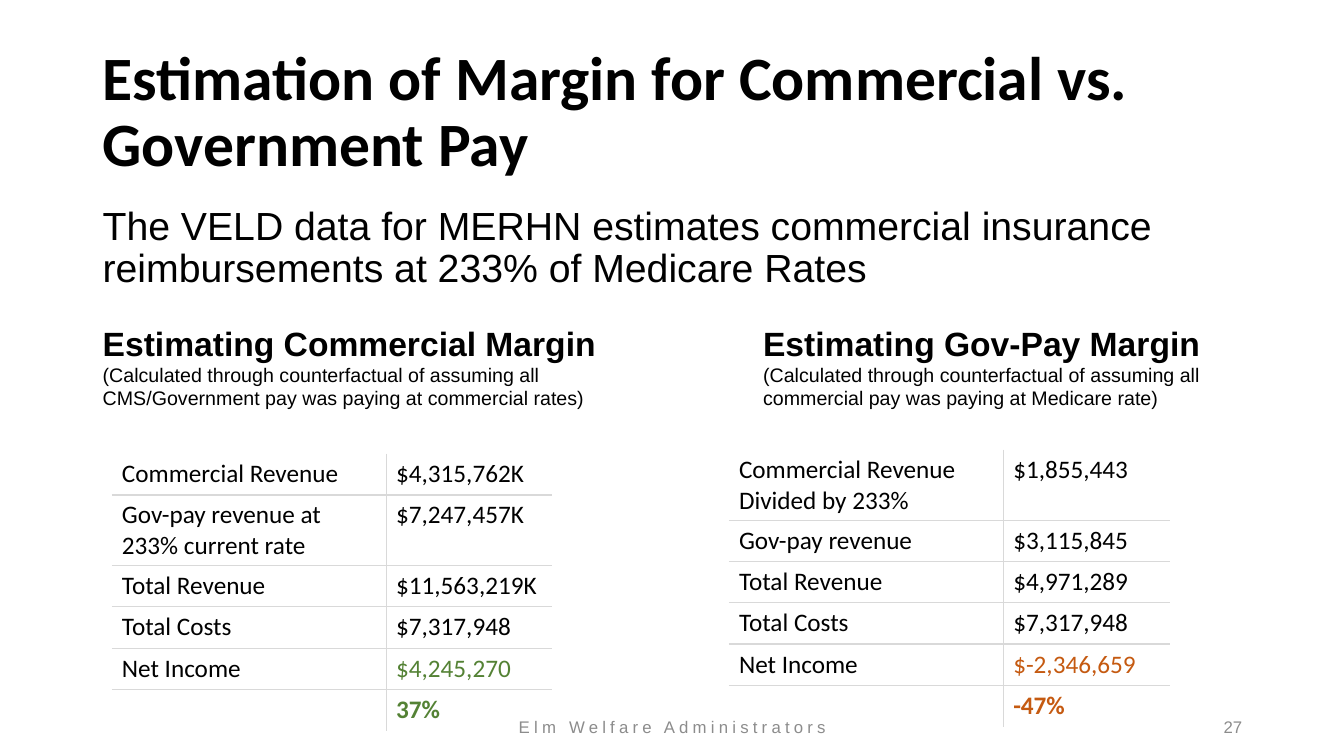
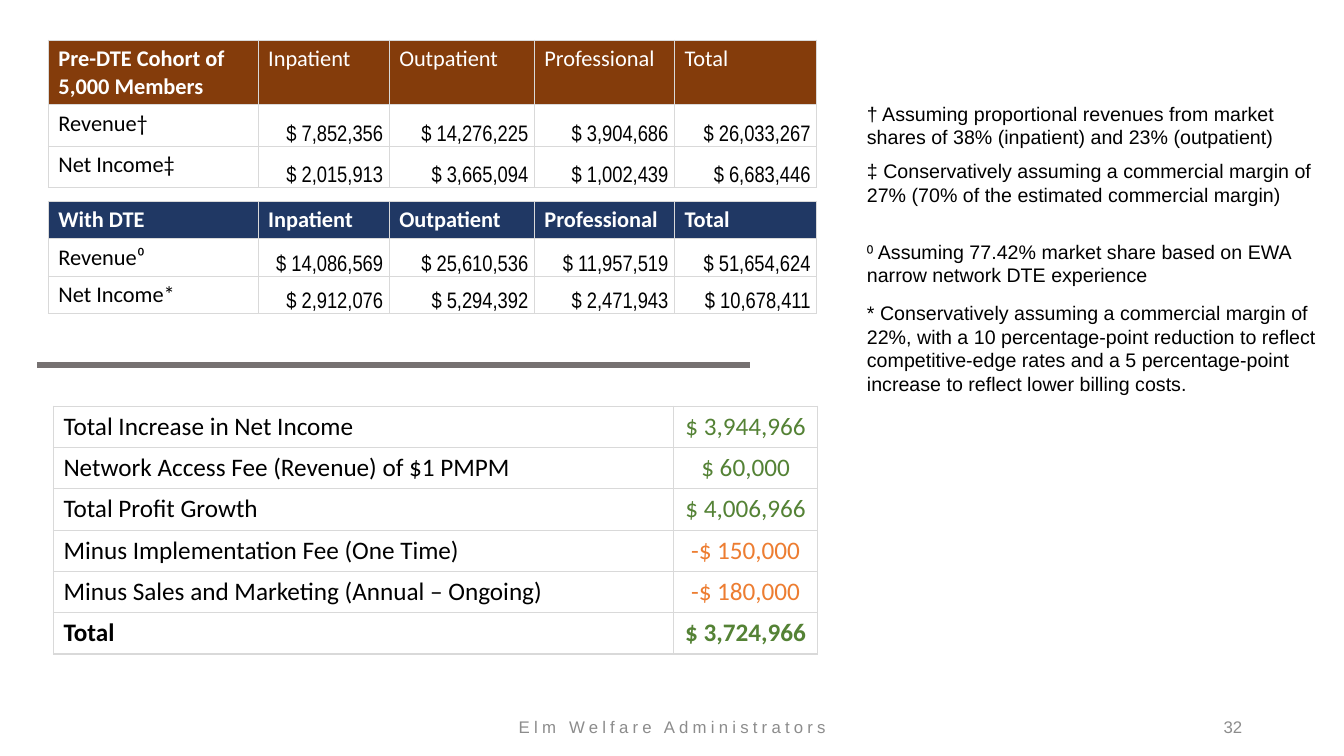
from lxml import etree
from pptx import Presentation
from pptx.dml.color import RGBColor
from pptx.enum.shapes import MSO_CONNECTOR
from pptx.enum.text import MSO_ANCHOR, PP_ALIGN
from pptx.oxml.ns import qn
from pptx.util import Inches, Pt

BLACK, WHITE, GREY, RULE, GRID = "000000", "FFFFFF", "8C8C8C", "767171", "D9D9D9"
BROWN, NAVY = "843C0B", "203864"
GREEN, RUST, ORANGE = "548235", "C55A11", "ED7D31"
FOOTER = "Elm Welfare Administrators"
LEFT, CENTER, RIGHT = PP_ALIGN.LEFT, PP_ALIGN.CENTER, PP_ALIGN.RIGHT


def rgb(color):
    """Turn a hex string into a colour."""
    return RGBColor.from_string(color)


class Deck:
    """Holds the shared style and the current slide."""

    def __init__(self):
        """Start an empty widescreen presentation."""
        self.prs = Presentation()
        self.prs.slide_width, self.prs.slide_height = Inches(13.33), Inches(7.5)
        self.slide = None

    def new_slide(self, number):
        """Add a blank slide with its footer and number."""
        self.slide = self.prs.slides.add_slide(self.prs.slide_layouts[6])
        small = dict(size=12, color=GREY)
        self.text((4.42, 7.08, 4.5, 0.27), [(FOOTER, dict(small, align=CENTER, spacing=3))],
                  MSO_ANCHOR.MIDDLE)
        self.text((9.42, 7.08, 3, 0.27), [(str(number), dict(small, align=RIGHT))],
                  MSO_ANCHOR.MIDDLE)

    def style_text(self, paragraph, text, size=14, font="Arial", color=BLACK, bold=False,
                   align=LEFT, spacing=None, line=None):
        """Fill one paragraph with styled text."""
        paragraph.alignment = align
        if line:
            paragraph.line_spacing = line
        run = paragraph.add_run()
        run.text = text
        run.font.size, run.font.name, run.font.bold = Pt(size), font, bold
        run.font.color.rgb = rgb(color)
        if spacing:
            run.font._element.set("spc", str(spacing * 100))

    def text(self, box, paragraphs, anchor=MSO_ANCHOR.TOP):
        """Add a wrapped text box of (text, style) paragraphs."""
        frame = self.slide.shapes.add_textbox(*map(Inches, box)).text_frame
        frame.word_wrap, frame.vertical_anchor = True, anchor
        for i, (text, style) in enumerate(paragraphs):
            paragraph = frame.add_paragraph() if i else frame.paragraphs[0]
            self.style_text(paragraph, text, **style)

    def title(self, text):
        """Add the slide title."""
        self.text((0.92, 0.4, 11.5, 1.45),
                  [(text, dict(size=44, font="Calibri", bold=True, line=0.9))],
                  MSO_ANCHOR.MIDDLE)

    def rule(self, x1, x2, y):
        """Add a thick horizontal divider."""
        line = self.slide.shapes.add_connector(
            MSO_CONNECTOR.STRAIGHT, *map(Inches, (x1, y, x2, y)))
        line.line.color.rgb, line.line.width = rgb(RULE), Pt(4.5)
        etree.SubElement(line._element.spPr, qn("a:effectLst"))

    def borders(self, cell, visible):
        """Draw the cell edges, in the order left, right, top, bottom."""
        props = cell._tc.get_or_add_tcPr()
        for i, (side, shown) in enumerate(zip("LRTB", visible)):
            edge = etree.Element(qn("a:ln" + side), w=str(Pt(1)))
            if shown:
                fill = etree.SubElement(edge, qn("a:solidFill"))
                etree.SubElement(fill, qn("a:srgbClr"), val=GRID)
            else:
                etree.SubElement(edge, qn("a:noFill"))
            props.insert(i, edge)

    def table(self, x, y, widths, heights, rows, style, framed=True):
        """Add a table of (text, style) cells, with or without outer edges."""
        frame = self.slide.shapes.add_table(
            len(rows), len(widths),
            *map(Inches, (x, y, sum(widths), sum(heights))))
        grid = frame.table
        grid.first_row = grid.horz_banding = False
        for column, width in zip(grid.columns, widths):
            column.width = Inches(width)
        for row, height in zip(grid.rows, heights):
            row.height = Inches(height)
        last_row, last_column = len(rows) - 1, len(widths) - 1
        for r, row in enumerate(rows):
            for c, (text, extra) in enumerate(row):
                self.cell(grid.cell(r, c), text, **{**style, **extra})
                self.borders(grid.cell(r, c), (framed or c > 0, framed or c < last_column,
                                               framed or r > 0, framed or r < last_row))

    def cell(self, cell, text, fill=None, figure=False, **style):
        """Fill one cell; figures sit low and right with thin margins."""
        if fill:
            cell.fill.solid()
            cell.fill.fore_color.rgb = rgb(fill)
        else:
            cell.fill.background()
        if figure:
            cell.vertical_anchor = MSO_ANCHOR.BOTTOM
            cell.margin_left = cell.margin_top = Inches(0.01)
            cell.margin_right, cell.margin_bottom = Inches(0.06), 0
            style.update(font="Arial Narrow", align=RIGHT)
        if text:
            self.style_text(cell.text_frame.paragraphs[0], text, **style)

    def margin_table(self, x, y, tall_row, rows, accent):
        """Add a margin estimate whose last two amounts are accented."""
        heights = [0.7 if r == tall_row else 0.41 for r in range(len(rows))]
        cells = [[(label, {}), (amount, {})] for label, amount in rows]
        cells[-2][1] = (rows[-2][1], dict(color=accent))
        cells[-1][1] = (rows[-1][1], dict(color=accent, bold=True))
        self.table(x, y, [2.72, 1.65], heights, cells,
                   dict(size=18, font="Calibri"), framed=False)

    def cohort_table(self, y, heights, heading, fill, bold_services, rows):
        """Add a table of income by service line under a coloured header."""
        services = ("Inpatient", "Outpatient", "Professional", "Total")
        header = dict(fill=fill, color=WHITE)
        cells = [[(heading, dict(header, bold=True))]
                 + [(name, dict(header, bold=bold_services)) for name in services]]
        for label, *amounts in rows:
            cells.append([(label, {})] + [("$ " + a, dict(figure=True)) for a in amounts])
        self.table(0.48, y, [2.08, 1.3, 1.44, 1.39, 1.41], heights, cells,
                   dict(size=16, font="Calibri"))


def margin_slide(deck):
    """Build the comparison of commercial and government margins."""
    deck.new_slide(27)
    deck.title("Estimation of Margin for Commercial vs. Government Pay")
    deck.text((0.92, 2, 11.5, 1),
              [("The VELD data for MERHN estimates commercial insurance "
                "reimbursements at 233% of Medicare Rates", dict(size=28, line=0.9))])
    headings = (
        (0.92, 5.19, "Commercial", "CMS/Government pay was paying at commercial rates)"),
        (7.47, 4.77, "Gov-Pay", "commercial pay was paying at Medicare rate)"))
    for x, width, payer, assumption in headings:
        deck.text((x, 3.15, width, 0.98),
                  [(f"Estimating {payer} Margin", dict(size=24, bold=True)),
                   ("(Calculated through counterfactual of assuming all " + assumption, {})])
    deck.margin_table(1.11, 4.5, 1, [
        ("Commercial Revenue", "$4,315,762K"),
        ("Gov-pay revenue at 233% current rate", "$7,247,457K"),
        ("Total Revenue", "$11,563,219K"),
        ("Total Costs", "$7,317,948"),
        ("Net Income", "$4,245,270"),
        ("", "37%")], GREEN)
    deck.margin_table(7.23, 4.46, 0, [
        ("Commercial Revenue Divided by 233%", "$1,855,443"),
        ("Gov-pay revenue", "$3,115,845"),
        ("Total Revenue", "$4,971,289"),
        ("Total Costs", "$7,317,948"),
        ("Net Income", "$-2,346,659"),
        ("", "-47%")], RUST)


def cohort_slide(deck):
    """Build the cohort income tables, the profit summary and the notes."""
    deck.new_slide(32)
    deck.cohort_table(0.4, [0.64, 0.41, 0.41], "Pre-DTE Cohort of 5,000 Members", BROWN, False, [
        ("Revenue†", "7,852,356", "14,276,225", "3,904,686", "26,033,267"),
        ("Net Income‡", "2,015,913", "3,665,094", "1,002,439", "6,683,446")])
    deck.cohort_table(2, [0.37] * 3, "With DTE", NAVY, True, [
        ("Revenue⁰", "14,086,569", "25,610,536", "11,957,519", "51,654,624"),
        ("Net Income*", "2,912,076", "5,294,392", "2,471,943", "10,678,411")])
    deck.rule(0.37, 7.44, 3.62)
    summary = [
        ("Total Increase in Net Income", "$ 3,944,966"),
        ("Network Access Fee (Revenue) of $1 PMPM", "$ 60,000"),
        ("Total Profit Growth", "$ 4,006,966"),
        ("Minus Implementation Fee (One Time)", "-$ 150,000"),
        ("Minus Sales and Marketing (Annual – Ongoing)", "-$ 180,000"),
        ("Total", "$ 3,724,966")]
    cells = []
    for label, amount in summary:
        bold = label == "Total"
        color = ORANGE if amount.startswith("-") else GREEN
        cells.append([(label, dict(bold=bold)),
                      (amount, dict(bold=bold, color=color, align=CENTER))])
    deck.table(0.53, 4.03, [6.15, 1.43], [0.41] * len(cells), cells,
               dict(size=18, font="Calibri"))
    notes = (
        (0.96, 0.57, "† Assuming proportional revenues from market shares of 38% "
                     "(inpatient) and 23% (outpatient)"),
        (1.53, 0.57, "‡ Conservatively assuming a commercial margin of 27% "
                     "(70% of the estimated commercial margin)"),
        (2.33, 0.57, "⁰ Assuming 77.42% market share based on EWA narrow network "
                     "DTE experience"),
        (2.94, 1.04, "* Conservatively assuming a commercial margin of 22%, with a "
                     "10 percentage-point reduction to reflect competitive-edge rates "
                     "and a 5 percentage-point increase to reflect lower billing costs."))
    for y, height, note in notes:
        deck.text((8.5, y, 4.72, height), [(note, {})])


def main():
    """Build both slides and save the file."""
    deck = Deck()
    margin_slide(deck)
    cohort_slide(deck)
    deck.prs.save("out.pptx")


main()
